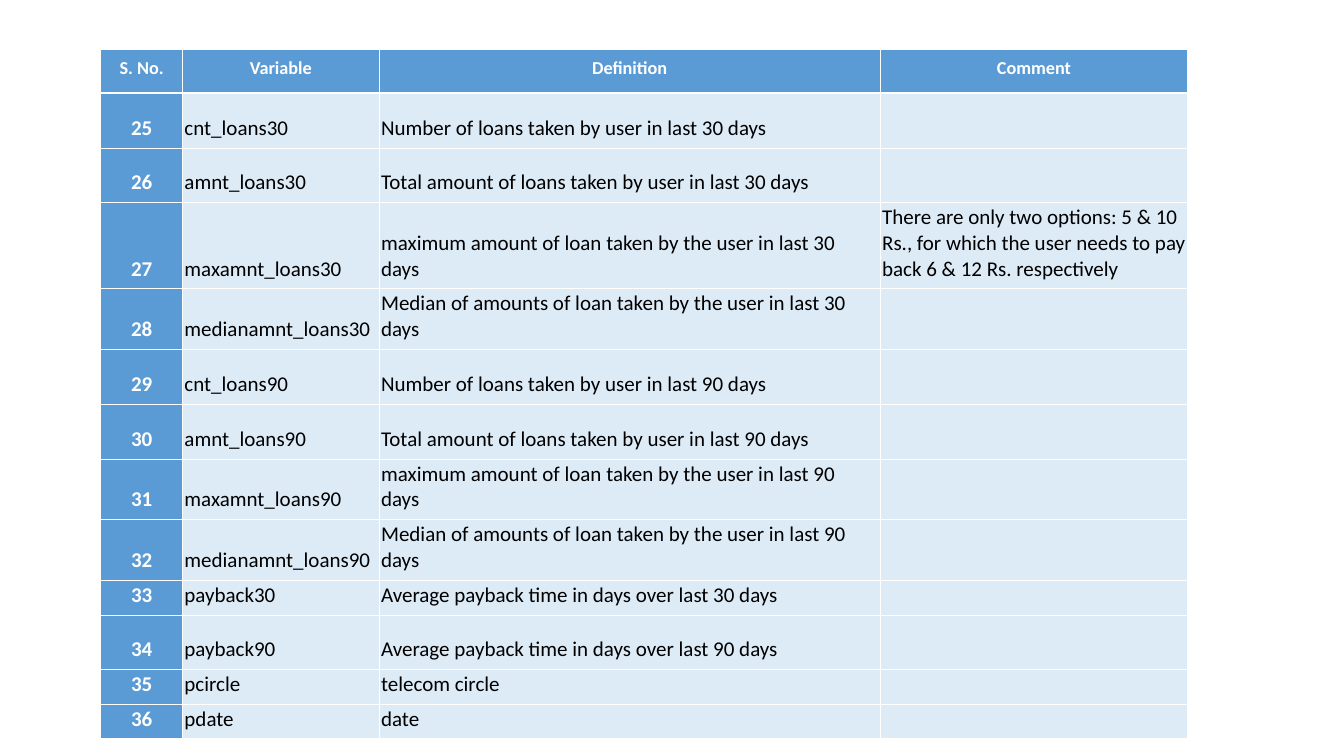
from dataclasses import dataclass

from lxml.etree import SubElement
from pptx import Presentation
from pptx.dml.color import RGBColor
from pptx.enum.text import MSO_ANCHOR, PP_ALIGN
from pptx.oxml.ns import qn
from pptx.util import Inches, Pt


@dataclass(frozen=True)
class Theme:
    """Colours, type sizes and line widths of the slide."""
    font: str = "Calibri"
    accent: str = "5B9BD5"
    band: str = "DDEBF7"
    light: str = "FFFFFF"
    dark: str = "000000"
    head_size: float = 13
    body_size: float = 15
    rule: float = 0.5
    head_rule: float = 1.5


T = Theme()
FIRST_NUMBER = 25
COL_WIDTHS = (0.81, 1.95, 4.97, 3.05)
HEAD_HEIGHT = 0.43
HEADINGS = ("S. No.", "Variable", "Definition", "Comment")
MAX_COMMENT = ("There are only two options: 5 & 10 Rs., for which the user "
               "needs to pay back 6 & 12 Rs. respectively")
VARIABLES = (
    (0.55, "cnt_loans30", "Number of loans taken by user in last 30 days", ""),
    (0.54, "amnt_loans30", "Total amount of loans taken by user in last 30 days", ""),
    (0.82, "maxamnt_loans30", "maximum amount of loan taken by the user in last 30 days", MAX_COMMENT),
    (0.57, "medianamnt_loans30", "Median of amounts of loan taken by the user in last 30 days", ""),
    (0.55, "cnt_loans90", "Number of loans taken by user in last 90 days", ""),
    (0.54, "amnt_loans90", "Total amount of loans taken by user in last 90 days", ""),
    (0.54, "maxamnt_loans90", "maximum amount of loan taken by the user in last 90 days", ""),
    (0.57, "medianamnt_loans90", "Median of amounts of loan taken by the user in last 90 days", ""),
    (0.33, "payback30", "Average payback time in days over last 30 days", ""),
    (0.54, "payback90", "Average payback time in days over last 90 days", ""),
    (0.33, "pcircle", "telecom circle", ""),
    (0.33, "pdate", "date", ""),
)


def write(tf, text, size=T.body_size, color=T.dark, bold=False, align=PP_ALIGN.LEFT):
    """Put text with its format into a text frame."""
    p = tf.paragraphs[0]
    p.alignment = align
    if not text:
        p._p.get_or_add_endParaRPr().set("sz", str(int(size * 100)))
        return
    r = p.add_run()
    r.text = text
    r.font.name, r.font.size, r.font.bold = T.font, Pt(size), bold
    r.font.color.rgb = RGBColor.from_string(color)


def set_borders(cell, widths):
    """Draw light rules on the sides named in widths, in points."""
    tc_pr = cell._tc.get_or_add_tcPr()
    for i, (side, width) in enumerate(widths.items()):
        ln = SubElement(tc_pr, qn(f"a:ln{side}"), w=str(Pt(width)))
        fill = SubElement(ln, qn("a:solidFill"))
        SubElement(fill, qn("a:srgbClr"), val=T.light)
        tc_pr.insert(i, ln)


def inner_borders(row, col, last_row, last_col):
    """Return the rule widths for the inner sides of a cell."""
    sides = {}
    if col > 0:
        sides["L"] = T.rule
    if col < last_col:
        sides["R"] = T.rule
    if row > 0:
        sides["T"] = T.head_rule if row == 1 else T.rule
    if row < last_row:
        sides["B"] = T.head_rule if row == 0 else T.rule
    return sides


def fill_cell(cell, text, is_head, is_label):
    """Format one cell as heading, row label or body."""
    strong = is_head or is_label
    cell.margin_left = cell.margin_right = cell.margin_top = Inches(0.02)
    cell.margin_bottom = Inches(0.07)
    cell.vertical_anchor = MSO_ANCHOR.MIDDLE if is_head else MSO_ANCHOR.BOTTOM
    cell.fill.solid()
    cell.fill.fore_color.rgb = RGBColor.from_string(T.accent if strong else T.band)
    write(cell.text_frame, text, bold=strong,
          size=T.head_size if is_head else T.body_size,
          color=T.light if strong else T.dark,
          align=PP_ALIGN.CENTER if strong else PP_ALIGN.LEFT)


def add_variable_table(s, left, top):
    """Add the table of variables, numbered in sequence."""
    heights = [HEAD_HEIGHT] + [v[0] for v in VARIABLES]
    rows = [HEADINGS] + [(str(n), *v[1:]) for n, v in enumerate(VARIABLES, FIRST_NUMBER)]
    table = s.shapes.add_table(len(rows), len(COL_WIDTHS), left, top,
                               Inches(sum(COL_WIDTHS)), Inches(sum(heights))).table
    table.first_col = True
    for column, width in zip(table.columns, COL_WIDTHS):
        column.width = Inches(width)
    for i, (height, texts) in enumerate(zip(heights, rows)):
        table.rows[i].height = Inches(height)
        for j, text in enumerate(texts):
            cell = table.cell(i, j)
            fill_cell(cell, text, is_head=i == 0, is_label=j == 0)
            set_borders(cell, inner_borders(i, j, len(rows) - 1, len(texts) - 1))


def main():
    """Build the slide and save it."""
    prs = Presentation()
    prs.slide_width, prs.slide_height = Inches(13.33), Inches(7.5)
    s = prs.slides.add_slide(prs.slide_layouts[6])
    add_variable_table(s, Inches(1), Inches(0.49))
    prs.save("out.pptx")


main()
